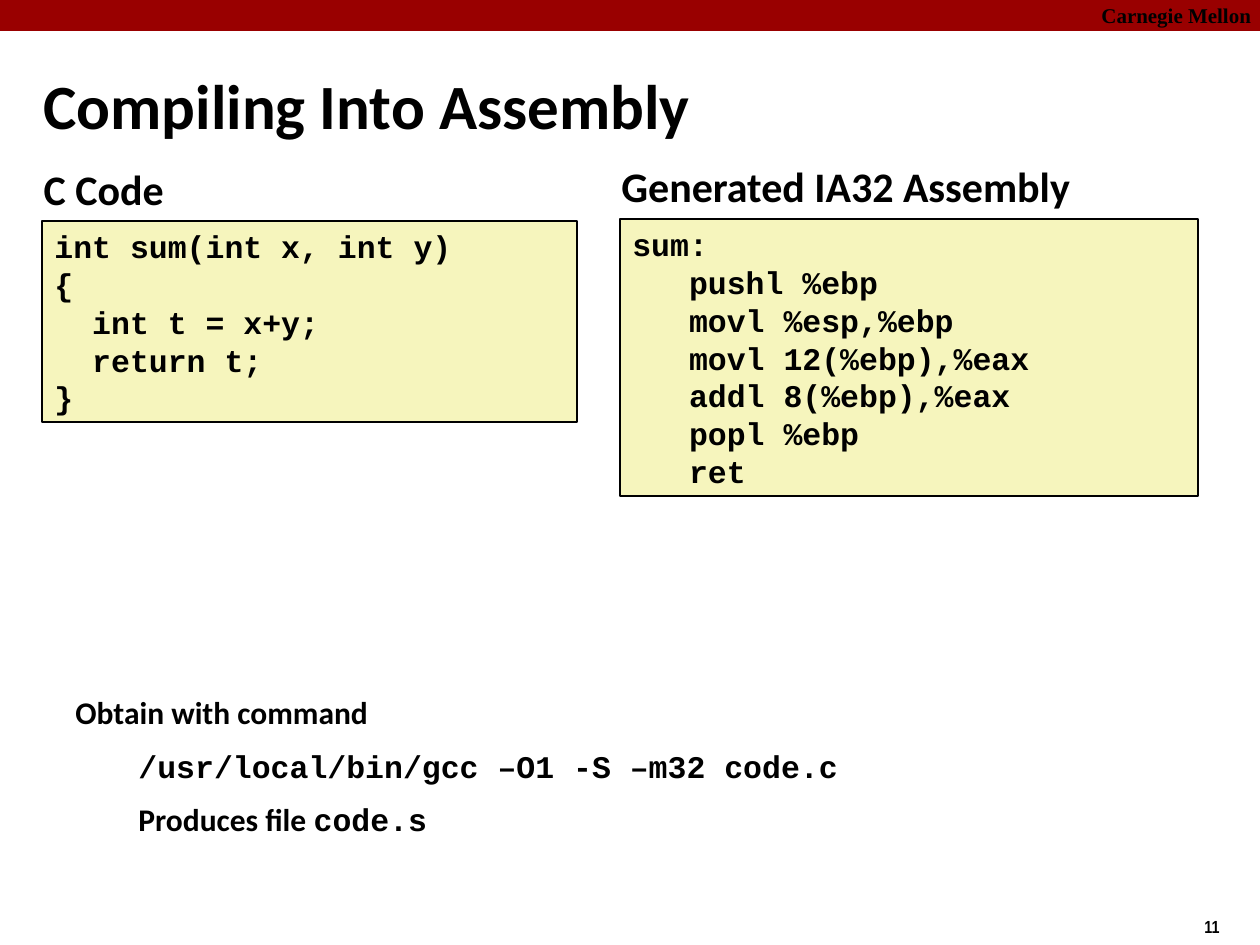
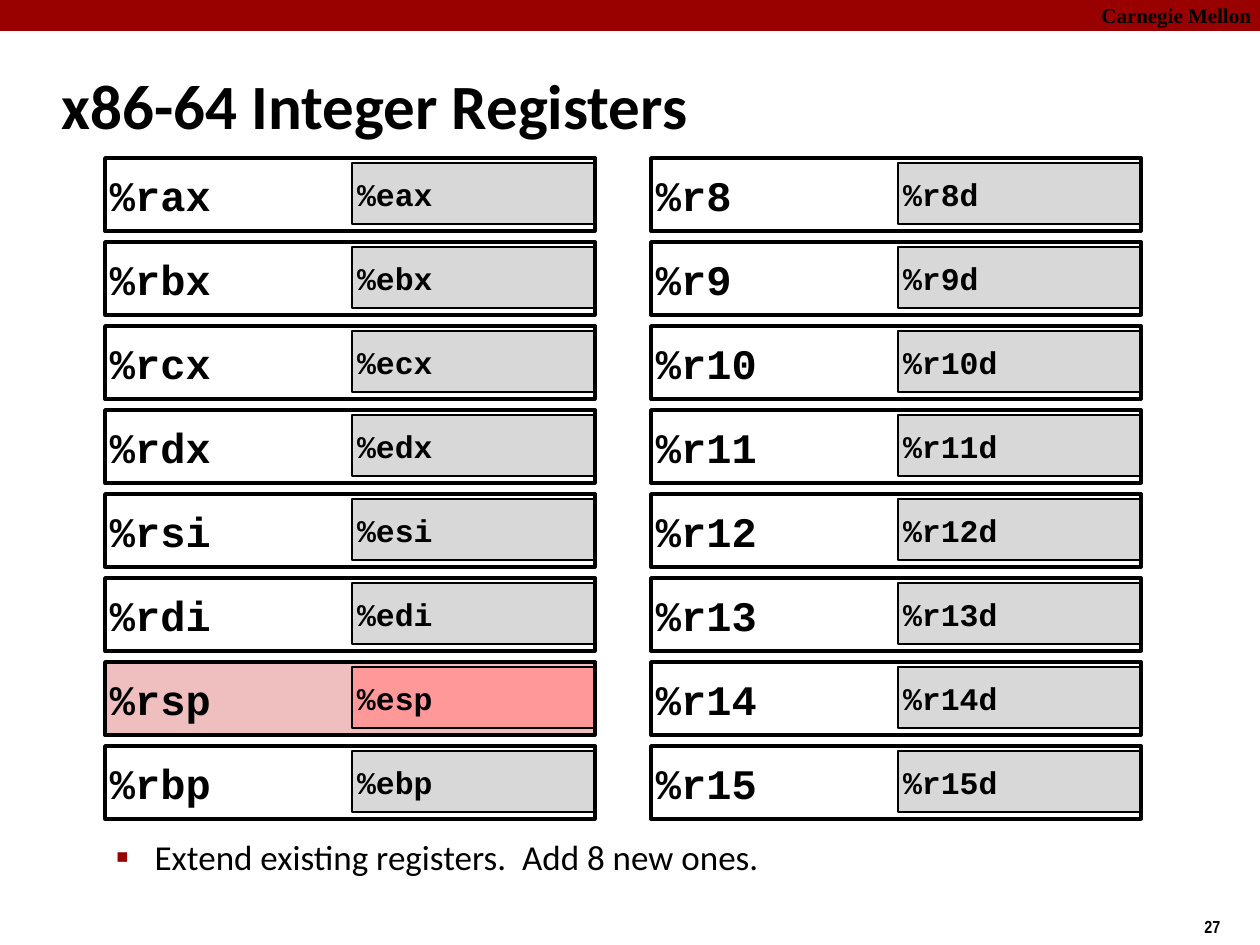
from lxml.etree import SubElement
from pptx import Presentation
from pptx.dml.color import RGBColor
from pptx.enum.shapes import MSO_SHAPE
from pptx.enum.text import MSO_ANCHOR, MSO_AUTO_SIZE, PP_ALIGN
from pptx.oxml.ns import qn
from pptx.util import Emu, Pt

SANS, MONO, SERIF, NARROW = "Calibri", "Courier New", "Times New Roman", "Arial Narrow"
BLACK, CRIMSON, CREAM = "000000", "990000", "F6F5BD"
GRAY, PINK, ROSE = "D8D8D8", "EFBFBF", "FF9999"

C_CODE = """int sum(int x, int y)
{
  int t = x+y;
  return t;
}"""

ASSEMBLY = """sum:
   pushl %ebp
   movl %esp,%ebp
   movl 12(%ebp),%eax
   addl 8(%ebp),%eax
   popl %ebp
   ret"""


def px(length):
    return Emu(round(length * 914400 / 126))


def color(value):
    return RGBColor.from_string(value)


class LectureDeck:
    """Holds the lecture style and the slide being built."""

    def __init__(self):
        self.deck = Presentation()
        self.deck.slide_width, self.deck.slide_height = px(1260), px(945)
        self.slide = None

    def new_slide(self, title, title_place, number):
        self.slide = self.deck.slides.add_slide(self.deck.slide_layouts[1])
        self.rectangle((0, 0, 1260, 31), CRIMSON)
        self.text_box((1089, -4, 180, 38), "Carnegie Mellon", 12, font=SERIF)
        self.text_box((1192, 910, 94, 34), number, 10, font=NARROW)
        self.placeholder(self.slide.shapes.title, title_place)
        self.paragraph(self.slide.shapes.title, title, 36, indent=(16, -16))

    def placeholder(self, box, place):
        box.left, box.top, box.width, box.height = map(px, place)
        self.frame(box)

    def frame(self, box, anchor=MSO_ANCHOR.TOP):
        frame = box.text_frame
        frame.word_wrap = True
        frame.auto_size = MSO_AUTO_SIZE.NONE
        frame.vertical_anchor = anchor

    def paragraph(self, box, text, size, font=SANS, bold=True, indent=(0, 0),
                  before=0, level=0, bullet=None):
        frame = box.text_frame
        first = not frame.paragraphs[0].runs
        para = frame.paragraphs[0] if first else frame.add_paragraph()
        para.level = level
        para.alignment = PP_ALIGN.LEFT
        para.space_before = Pt(0 if first else before)
        properties = para._p.get_or_add_pPr()
        properties.set("marL", str(px(indent[0])))
        properties.set("indent", str(px(indent[1])))
        if bullet:
            bullet_color = SubElement(properties, qn("a:buClr"))
            SubElement(bullet_color, qn("a:srgbClr")).set("val", CRIMSON)
            SubElement(properties, qn("a:buSzPct")).set("val", "110000")
            SubElement(properties, qn("a:buChar")).set("char", bullet)
        else:
            SubElement(properties, qn("a:buNone"))
        para.font.name, para.font.size, para.font.bold = font, Pt(size), bold
        para.font.color.rgb = color(BLACK)
        para.add_run().text = text
        return para

    def text_box(self, place, text, size, font=SANS):
        box = self.slide.shapes.add_textbox(*map(px, place))
        self.frame(box)
        self.paragraph(box, text, size, font)
        return box

    def body(self, place, text, size, **style):
        box = self.slide.placeholders[1]
        self.placeholder(box, place)
        self.paragraph(box, text, size, **style)

    def rectangle(self, place, fill=None, line=None):
        box = self.slide.shapes.add_shape(MSO_SHAPE.RECTANGLE, *map(px, place))
        box.shadow.inherit = False
        if fill:
            box.fill.solid()
            box.fill.fore_color.rgb = color(fill)
        else:
            box.fill.background()
        if line:
            box.line.color.rgb = color(BLACK)
            box.line.width = Pt(line)
        else:
            box.line.fill.background()
        return box

    def code(self, place, listing):
        box = self.rectangle(place, CREAM, 1)
        self.frame(box)
        for text in listing.splitlines():
            self.paragraph(box, text, 18, MONO)

    def register(self, place, name, size, fill, line):
        box = self.rectangle(place, fill, line)
        self.frame(box, MSO_ANCHOR.MIDDLE)
        frame = box.text_frame
        frame.margin_left = frame.margin_right = px(5)
        frame.margin_top = frame.margin_bottom = px(5)
        self.paragraph(box, name, size, MONO)


def compiling_slide(lecture):
    lecture.new_slide("Compiling Into Assembly", (31, 60, 944, 77), "11")
    lecture.body((31, 157, 223, 51), "C Code", 24)
    lecture.code((42, 221, 535, 201), C_CODE)
    lecture.text_box((609, 154, 567, 57), "Generated IA32 Assembly", 24)
    lecture.code((620, 219, 578, 277), ASSEMBLY)
    command = lecture.text_box((63, 687, 1029, 158), "Obtain with command", 18)
    lecture.paragraph(command, "/usr/local/bin/gcc –O1 -S –m32 code.c", 18, MONO,
                      indent=(63, 0), before=9)
    produces = lecture.paragraph(command, "Produces file ", 18, indent=(63, 0), before=9)
    span = produces.add_run()
    span.text = "code.s"
    span.font.name = MONO


def registers_slide(lecture):
    lecture.new_slide("x86-64 Integer Registers", (49, 60, 1046, 105), "27")
    lecture.body((40, 829, 1011, 116), "Extend existing registers.  Add 8 new ones.", 20,
                 bold=False, indent=(102, -39), level=1, bullet="▪")
    legacy = [(f"%r{name}", f"%e{name}") for name in "ax bx cx dx si di sp bp".split()]
    added = [(f"%r{number}", f"%r{number}d") for number in range(8, 16)]
    for left, registers in ((105, legacy), (651, added)):
        for row, (full, low) in enumerate(registers):
            top = 158 + 84 * row
            stack = full == "%rsp"
            whole = ((left, top, 490, 73), full, 24, PINK if stack else None, 2)
            half = ((left + 247, top + 5, 242 if stack else 243, 61), low, 18,
                    ROSE if stack else GRAY, 1 if stack else 0.75)
            for part in (whole, half) if stack else (half, whole):
                lecture.register(*part)


def main():
    lecture = LectureDeck()
    compiling_slide(lecture)
    registers_slide(lecture)
    lecture.deck.save("out.pptx")


if __name__ == "__main__":
    main()
